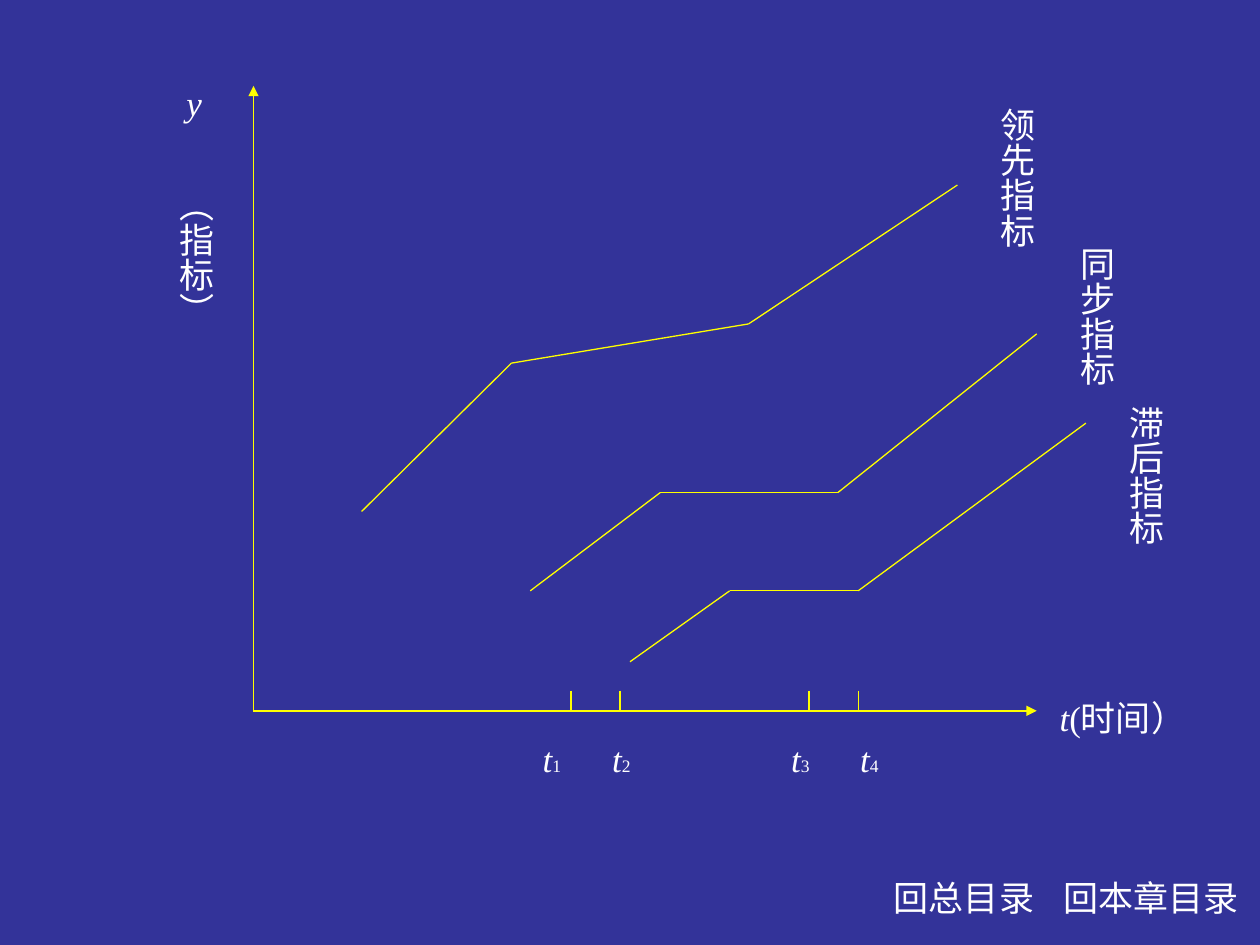
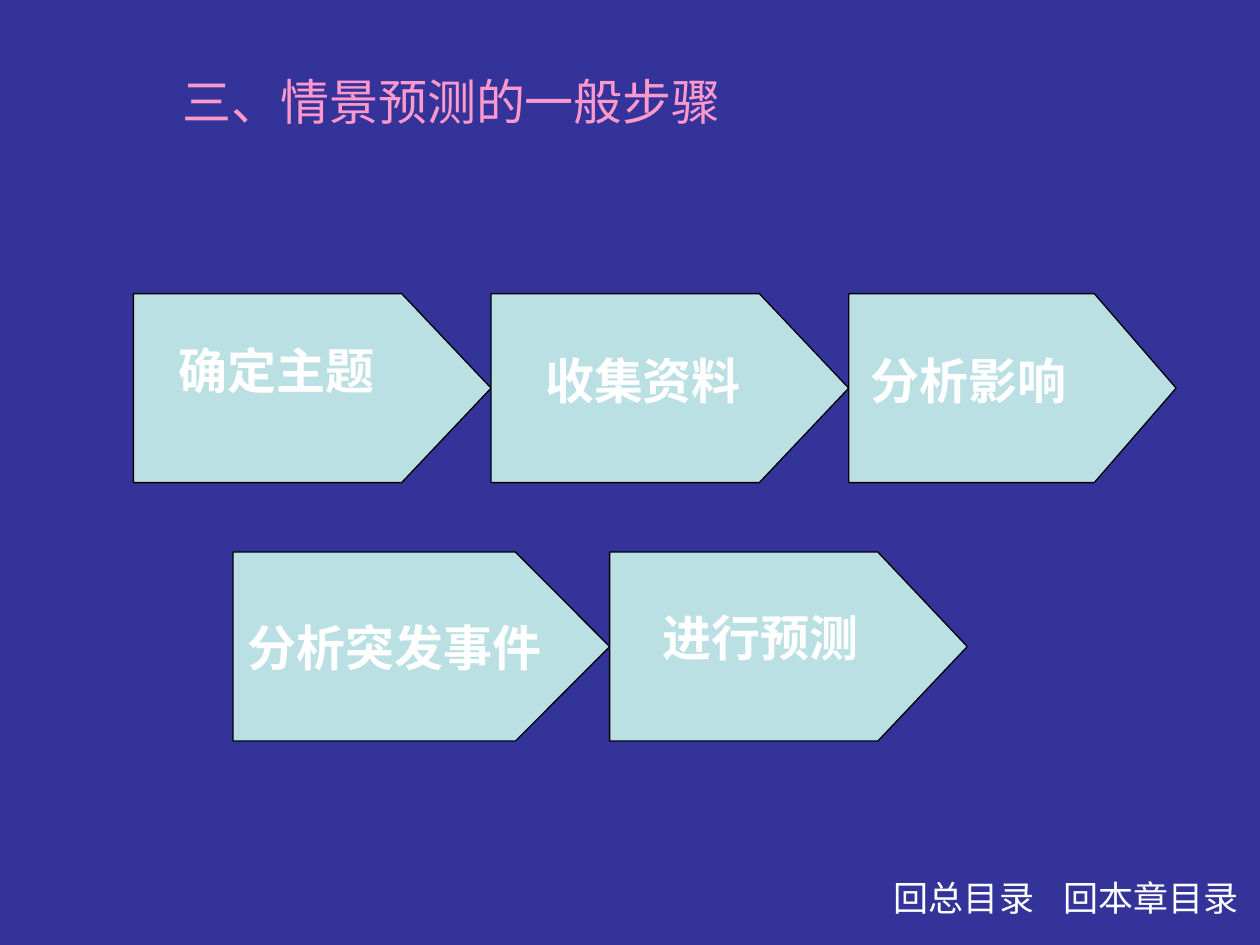
import dataclasses
import itertools
import typing

import pptx
import pptx.dml.color
import pptx.enum.shapes
import pptx.enum.text
import pptx.oxml.ns
import pptx.util
from lxml import etree

Cm = pptx.util.Cm
Pt = pptx.util.Pt
qn = pptx.oxml.ns.qn

NAVY = "333399"
YELLOW = "FFFF00"
WHITE = "FFFFFF"
PINK = "FF99CC"
AQUA = "BBE0E3"
BLACK = "000000"
SERIF = "Times New Roman"
THIN = 0.75
FLOOR = 14.33


class Run(typing.NamedTuple):
    text: str
    italic: bool = False
    size: float | None = None


@dataclasses.dataclass
class Label:
    text: str | list[Run]
    left: float
    top: float
    width: float
    height: float
    size: float = 20
    color: str = WHITE
    face: str = SERIF
    bold: bool = False
    upright: bool = False
    grow: bool = True
    pad: tuple[float, float] = (0.25, 0.13)
    indent: float = 0
    before: float = 12.5
    line: float | None = None
    align: pptx.enum.text.PP_ALIGN | None = None


class Step(typing.NamedTuple):
    width: float
    label: Label


class Row(typing.NamedTuple):
    left: float
    top: float
    steps: list[Step]


def tint(code: str) -> pptx.dml.color.RGBColor:
    return pptx.dml.color.RGBColor.from_string(code)


def paint(fill, code: str) -> None:
    fill.solid()
    fill.fore_color.rgb = tint(code)


def write(slide, label: Label) -> None:
    place = (label.left, label.top, label.width, label.height)
    frame = slide.shapes.add_textbox(*map(Cm, place)).text_frame
    frame.word_wrap = True
    if label.grow:
        frame.auto_size = pptx.enum.text.MSO_AUTO_SIZE.SHAPE_TO_FIT_TEXT
    across, down = label.pad
    if label.upright:
        across, down = down, across
        frame._txBody.bodyPr.set("vert", "eaVert")
    frame.margin_left = frame.margin_right = Cm(across)
    frame.margin_top = frame.margin_bottom = Cm(down)

    para = frame.paragraphs[0]
    para.alignment = label.align
    para.line_spacing = label.line
    para.space_before = Pt(label.before)
    if label.indent:
        para._p.get_or_add_pPr().set("marL", str(Cm(label.indent)))
    font = para.font
    font.name = label.face
    font.size = Pt(label.size)
    font.bold = label.bold
    font.color.rgb = tint(label.color)
    parts = [Run(label.text)] if isinstance(label.text, str) else label.text
    for part in parts:
        run = para.add_run()
        run.text = part.text
        if part.italic:
            run.font.italic = True
        if part.size:
            run.font.size = Pt(part.size)


def stroke(slide, start: tuple, end: tuple, arrow: bool = False) -> None:
    kind = pptx.enum.shapes.MSO_CONNECTOR.STRAIGHT
    line = slide.shapes.add_connector(kind, *map(Cm, (*start, *end)))
    line.line.width = Pt(THIN)
    paint(line.line.fill, YELLOW)
    frame = line._element.spPr
    if arrow:
        etree.SubElement(frame.find(qn("a:ln")), qn("a:tailEnd"), type="triangle")
    etree.SubElement(frame, qn("a:effectLst"))


def block(slide, left: float, top: float, width: float) -> None:
    height = 3.81
    kind = pptx.enum.shapes.MSO_SHAPE.PENTAGON
    shape = slide.shapes.add_shape(kind, *map(Cm, (left, top, width, height)))
    shape.adjustments[0] = width / 4 / height
    shape.shadow.inherit = False
    paint(shape.fill, AQUA)
    paint(shape.line.fill, BLACK)
    shape.line.width = Pt(THIN)


def footer(slide) -> None:
    center = pptx.enum.text.PP_ALIGN.CENTER
    for text, left, width, align in (
        ("回总目录", 17.63, 3.61, center),
        ("回本章目录", 21.44, 3.71, None),
    ):
        write(slide, Label(text, left, 17.63, width, 1.02, pad=(0, 0.13),
                           line=0.9, align=align))


def trends(slide) -> None:
    origin = (5.11, FLOOR)
    for tip in ((5.11, 1.73), (20.9, FLOOR)):
        stroke(slide, origin, tip, arrow=True)

    curves = [
        [(7.29, 10.31), (10.31, 7.32), (15.09, 6.53), (19.3, 3.73)],
        [(10.69, 11.91), (13.31, 9.93), (16.89, 9.93), (20.9, 6.73)],
        [(12.7, 13.34), (14.71, 11.91), (17.3, 11.91), (21.89, 8.53)],
    ]
    for curve in curves:
        for start, end in itertools.pairwise(curve):
            stroke(slide, start, end)

    ticks = [(11.51, 10.69), (12.5, 12.09), (16.31, 15.7), (17.3, 17.09)]
    for index, (mark, left) in enumerate(ticks, 1):
        stroke(slide, (mark, 13.92), (mark, FLOOR))
        name = [Run("t", True), Run(str(index), size=10)]
        write(slide, Label(name, left, 14.73, 0.99, 1.12, before=6.2))

    write(slide, Label([Run("y", True)], 3.51, 1.52, 0.99, 1.12))
    write(slide, Label([Run("t", True), Run("(时间）")], 21.11, 13.92, 3.61, 1.12))
    for text, left, top, height in (
        ("（指标）", 3.15, 3.53, 3.61),
        ("领先指标", 19.71, 1.93, 3.4),
        ("同步指标", 21.31, 4.72, 3.4),
        ("滞后指标", 22.3, 7.92, 3.4),
    ):
        write(slide, Label(text, left, top, 1.35, height, upright=True))


def caption(text: str, left: float, top: float, width: float,
            indent: float = 0) -> Label:
    return Label(text, left, top, width, 1.45, size=28, bold=True,
                 indent=indent, before=17.5)


def process(slide) -> None:
    write(slide, Label("三、情景预测的一般步骤", 1.91, 1.32, 21.59, 15.62, size=28,
                       color=PINK, face="Arial", grow=False, indent=1.52,
                       before=7))
    rows = [
        Row(2.69, 5.92, [
            Step(7.21, caption("确定主题", 2.69, 6.73, 5.79, 0.66)),
            Step(7.21, caption("收集资料", 10.31, 6.93, 5.79, 0.43)),
            Step(6.6, caption("分析影响", 17.3, 6.93, 6.6)),
        ]),
        Row(4.7, 11.13, [
            Step(7.59, caption("分析突发事件", 4.5, 12.32, 6.81, 0.25)),
            Step(7.21, caption("进行预测", 13.11, 12.12, 5.79)),
        ]),
    ]
    for row in rows:
        left = row.left
        for step in row.steps:
            block(slide, left, row.top, step.width)
            write(slide, step.label)
            left += step.width


def main() -> None:
    deck = pptx.Presentation()
    deck.slide_width = Cm(25.4)
    deck.slide_height = Cm(19.05)
    paint(deck.slide_master.background.fill, NAVY)
    for draw in (trends, process):
        slide = deck.slides.add_slide(deck.slide_layouts[6])
        draw(slide)
        footer(slide)
    deck.save("out.pptx")


if __name__ == "__main__":
    main()
